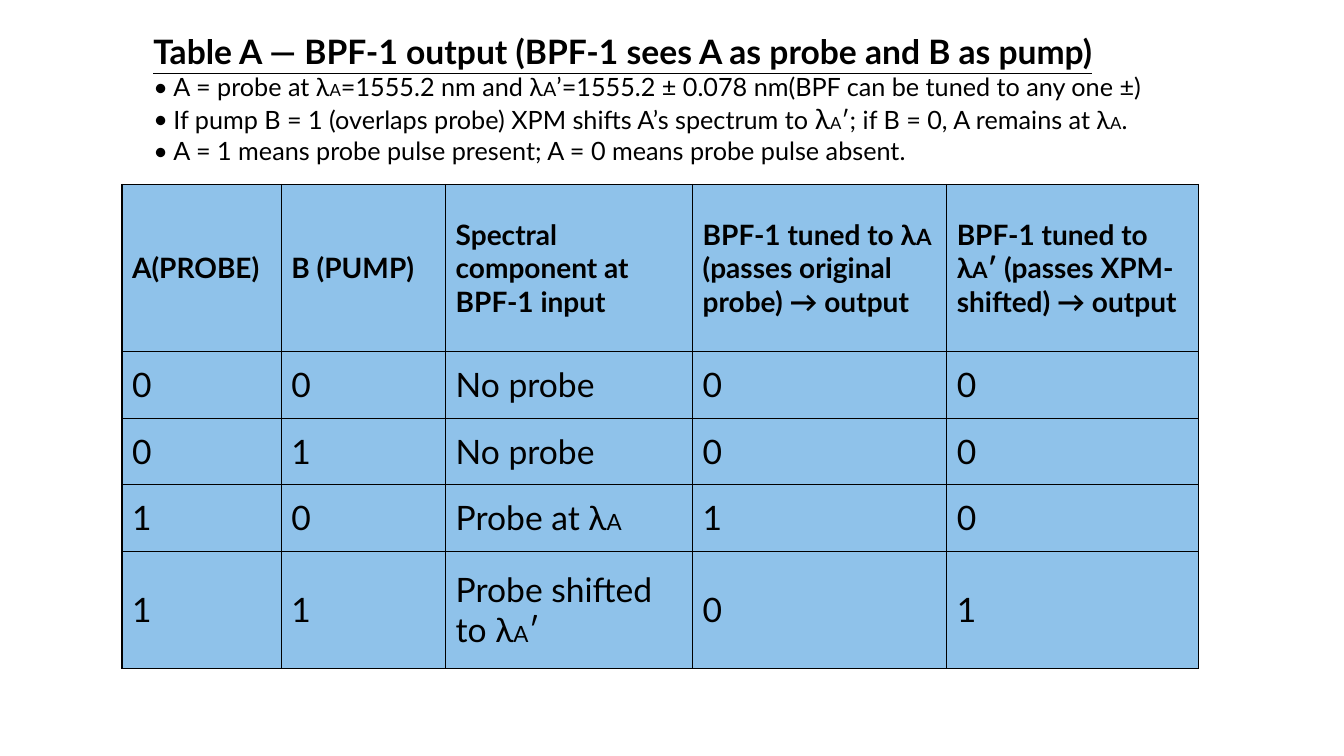
from lxml import etree
from pptx import Presentation
from pptx.dml.color import RGBColor
from pptx.enum.text import MSO_ANCHOR, MSO_AUTO_SIZE, PP_ALIGN
from pptx.oxml.ns import qn
from pptx.util import Inches, Pt

MIDDLE, TOP = MSO_ANCHOR.MIDDLE, MSO_ANCHOR.TOP
LEFT, NO_AUTOFIT = PP_ALIGN.LEFT, MSO_AUTO_SIZE.NONE

FONT = "Lato"
BLACK, BLUE = "000000", "8FC2EA"
TITLE_SIZE, BULLET_SIZE, HEADER_SIZE, CELL_SIZE = 24, 18, 20, 24
SMALL_A = ("A", 12)
TABLE_A = ("A", 16)

# Each text is a list of runs: a plain string, or (string, size in points).
TITLE = ["Table A — BPF-1 output (BPF-1 sees A as probe and B as pump)"]
BULLETS = [
    ["A = probe at λ", SMALL_A, "=1555.2 nm and λ", ("A", 14),
     "’=1555.2 ± 0.078 nm(BPF can be tuned to any one ±)"],
    ["If pump B = 1 (overlaps probe) XPM shifts A’s spectrum to ", ("λ", 20), SMALL_A,
     "′; if B = 0, A remains at λ", SMALL_A, "."],
    ["A = 1 means probe pulse present; A = 0 means probe pulse absent."],
]
ROWS = [
    [["A(PROBE)"], ["B (PUMP)"], ["Spectral component at BPF-1 input"],
     ["BPF-1 tuned to λ", TABLE_A, " (passes original probe) → output"],
     ["BPF-1 tuned to λ", TABLE_A, "′ (passes XPM-shifted) → output"]],
    [["0"], ["0"], ["No probe"], ["0"], ["0"]],
    [["0"], ["1"], ["No probe"], ["0"], ["0"]],
    [["1"], ["0"], ["Probe at λ", TABLE_A], ["1"], ["0"]],
    [["1"], ["1"], ["Probe shifted to λ", TABLE_A, "′"], ["0"], ["1"]],
]
COLUMN_WIDTHS = [1.58, 1.63, 2.45, 2.52, 2.5]
ROW_HEIGHTS = [1.66, 0.66, 0.66, 0.66, 1.16]
TABLE_LEFT, TABLE_TOP = 1.21, 1.83
TEXT_LEFT, TEXT_WIDTH = 1.42, 10.45
BULLET_INDENT = 0.2


def color(value):
    return RGBColor.from_string(value)


def add_runs(paragraph, runs, size, bold=False, underline=False):
    paragraph.alignment = LEFT
    for item in runs:
        text, run_size = (item, size) if isinstance(item, str) else item
        run = paragraph.add_run()
        run.text = text
        font = run.font
        font.name, font.size = FONT, Pt(run_size)
        font.bold, font.underline = bold, underline
        font.color.rgb = color(BLACK)


def place(shape, top, height):
    """Move a text placeholder and return its text frame, set to start at the top."""
    shape.left, shape.top = Inches(TEXT_LEFT), Inches(top)
    shape.width, shape.height = Inches(TEXT_WIDTH), Inches(height)
    frame = shape.text_frame
    frame.word_wrap = True
    frame.auto_size = NO_AUTOFIT
    frame.vertical_anchor = TOP
    return frame


def add_bullet(paragraph):
    properties = paragraph._p.get_or_add_pPr()
    properties.set("marL", str(Inches(BULLET_INDENT)))
    properties.set("indent", str(-Inches(BULLET_INDENT)))
    etree.SubElement(properties, qn("a:buFont")).set("typeface", FONT)
    etree.SubElement(properties, qn("a:buChar")).set("char", "•")


def add_borders(cell):
    properties = cell._tc.get_or_add_tcPr()
    for side in ("lnL", "lnR", "lnT", "lnB"):
        line = etree.SubElement(properties, qn(f"a:{side}"), w=str(Pt(1)))
        fill = etree.SubElement(line, qn("a:solidFill"))
        etree.SubElement(fill, qn("a:srgbClr"), val=BLACK)


def add_heading(slide):
    title = place(slide.shapes.title, 0.26, 0.5)
    add_runs(title.paragraphs[0], TITLE, TITLE_SIZE, bold=True, underline=True)

    body = place(slide.placeholders[1], 0.66, 1.05)
    for index, runs in enumerate(BULLETS):
        paragraph = body.add_paragraph() if index else body.paragraphs[0]
        add_bullet(paragraph)
        paragraph.space_before = Pt(0)
        add_runs(paragraph, runs, BULLET_SIZE)


def add_truth_table(slide):
    table = slide.shapes.add_table(
        len(ROWS), len(COLUMN_WIDTHS), Inches(TABLE_LEFT), Inches(TABLE_TOP),
        Inches(sum(COLUMN_WIDTHS)), Inches(sum(ROW_HEIGHTS))).table
    table.horz_banding = False
    for column, width in zip(table.columns, COLUMN_WIDTHS):
        column.width = Inches(width)
    for row_index, (row, height) in enumerate(zip(table.rows, ROW_HEIGHTS)):
        row.height = Inches(height)
        header = row_index == 0
        size = HEADER_SIZE if header else CELL_SIZE
        for cell, runs in zip(row.cells, ROWS[row_index]):
            add_borders(cell)
            cell.fill.solid()
            cell.fill.fore_color.rgb = color(BLUE)
            cell.vertical_anchor = MIDDLE
            add_runs(cell.text_frame.paragraphs[0], runs, size, bold=header)


def main():
    presentation = Presentation()
    presentation.slide_width, presentation.slide_height = Inches(13.33), Inches(7.5)
    slide = presentation.slides.add_slide(presentation.slide_layouts[1])
    add_heading(slide)
    add_truth_table(slide)
    presentation.save("out.pptx")


if __name__ == "__main__":
    main()
